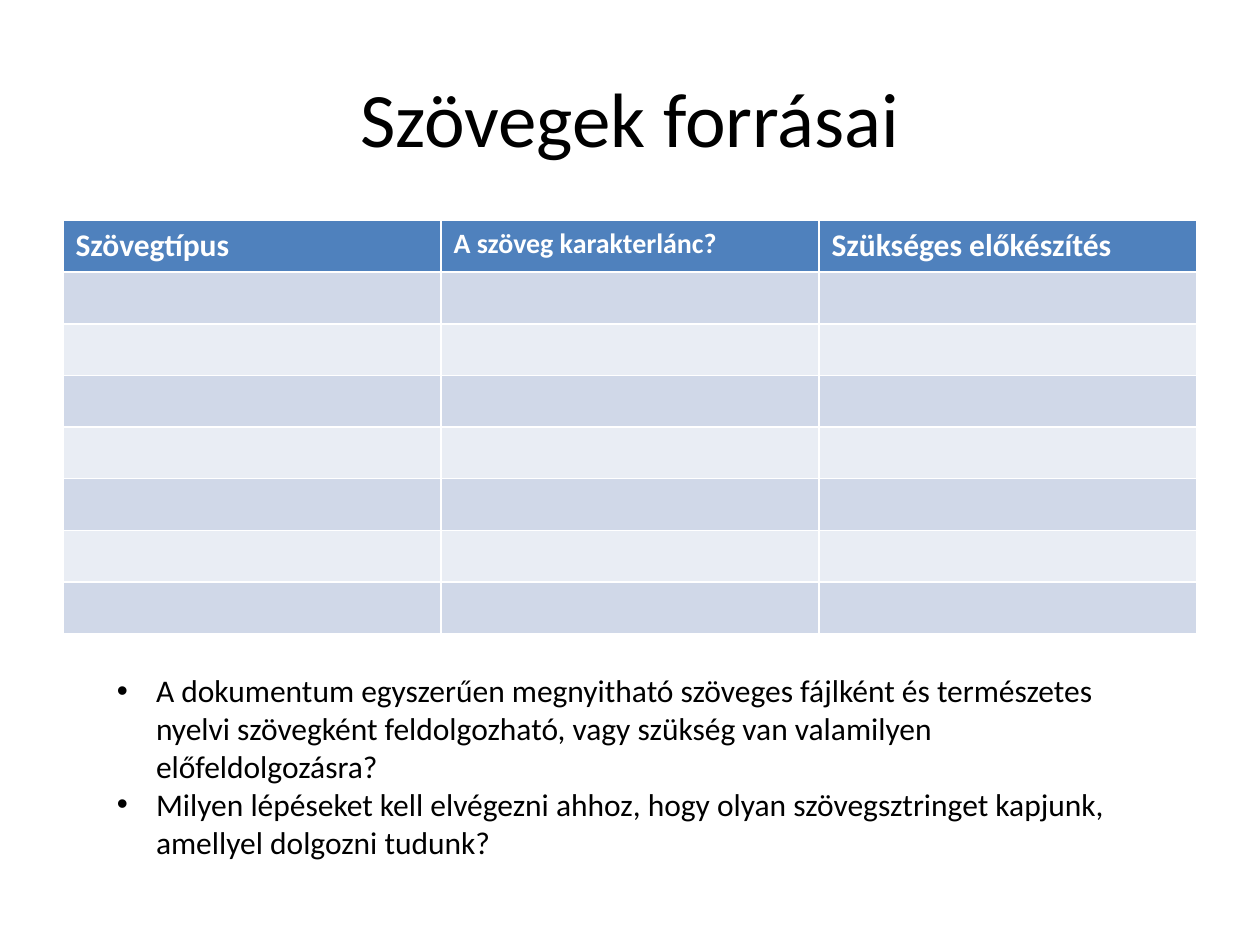
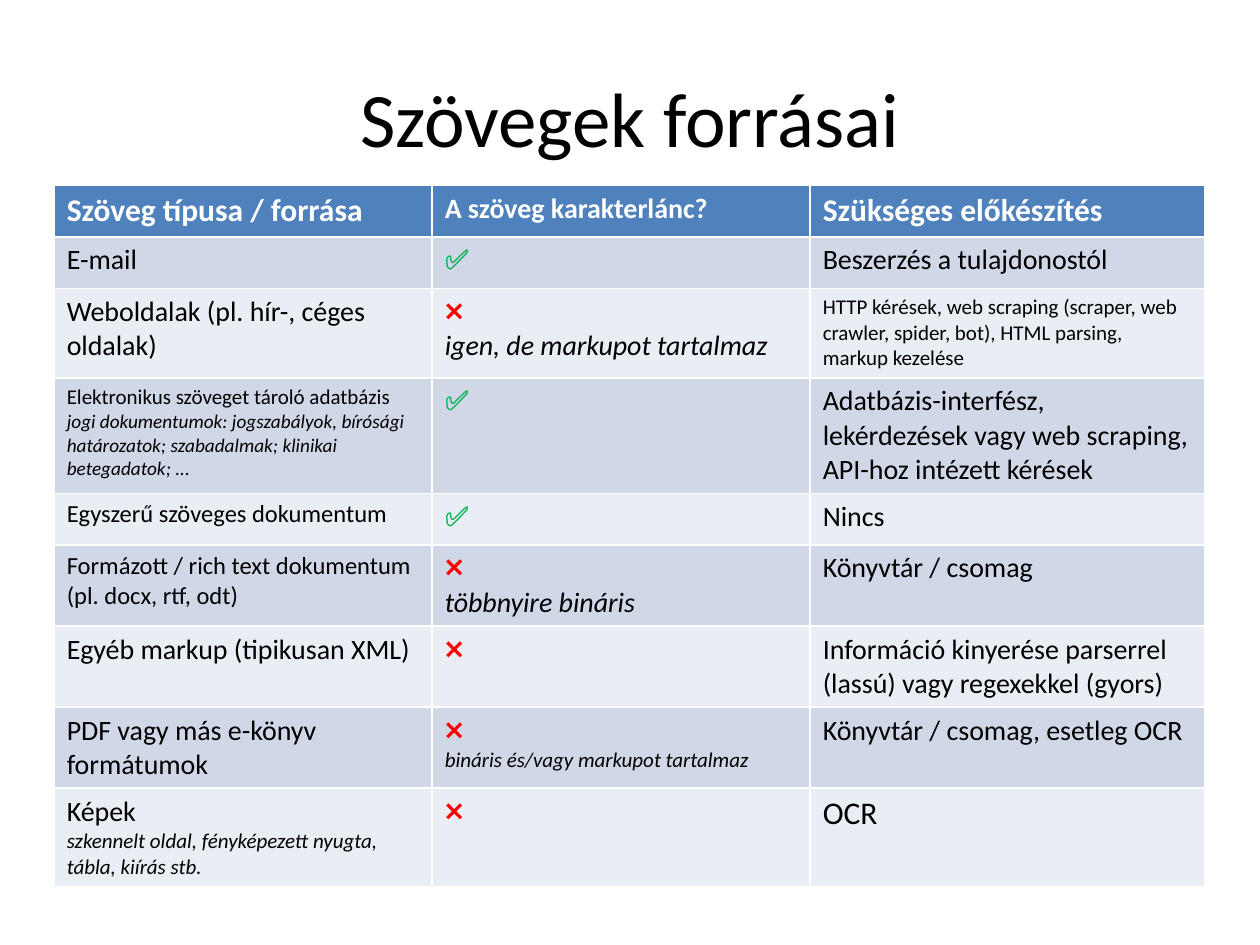
from dataclasses import dataclass

from lxml import etree
from pptx import Presentation
from pptx.dml.color import RGBColor
from pptx.enum.text import MSO_ANCHOR, MSO_AUTO_SIZE, PP_ALIGN
from pptx.oxml.ns import qn
from pptx.util import Inches, Pt

TITLE_ONLY = 5
CENTER = PP_ALIGN.CENTER
MIDDLE = MSO_ANCHOR.MIDDLE
GROW = MSO_AUTO_SIZE.SHAPE_TO_FIT_TEXT


@dataclass(frozen=True)
class Theme:
    font: str = "Calibri"
    black: str = "000000"
    white: str = "FFFFFF"
    header: str = "4F81BD"
    bands: tuple = ("E9EDF4", "D0D8E8")
    yes: str = "00B050"
    no: str = "FF0000"
    title: int = 44
    large: int = 18
    body: int = 16
    medium: int = 14
    small: int = 12
    tiny: int = 11


theme = Theme()
YES, NO = "✅", "❌"
MARK_COLOURS = {YES: theme.yes, NO: theme.no}
ROW_HEIGHT = 0.41


def write(para, text, size, colour=theme.black, bold=False, italic=False):
    para.text = text
    for span in para.runs:
        span.font.name = theme.font
        span.font.size = Pt(size)
        span.font.bold = bold
        span.font.italic = italic
        span.font.color.rgb = RGBColor.from_string(colour)


def add_source_table(page, left, top, widths, headings, rows):
    """Add a banded table; a cell is (text, size) pairs, the second being an italic note."""
    table = page.shapes.add_table(
        len(rows) + 1, len(widths), Inches(left), Inches(top),
        Inches(sum(widths)), Inches(ROW_HEIGHT * (len(rows) + 1))).table
    for column, width in zip(table.columns, widths):
        column.width = Inches(width)
    for row in table.rows:
        row.height = Inches(ROW_HEIGHT)

    for column, (text, size) in enumerate(headings):
        cell = table.cell(0, column)
        cell.fill.solid()
        cell.fill.fore_color.rgb = RGBColor.from_string(theme.header)
        write(cell.text_frame.paragraphs[0], text, size, theme.white, bold=True)

    for number, row in enumerate(rows, start=1):
        for column, content in enumerate(row):
            cell = table.cell(number, column)
            cell.fill.solid()
            cell.fill.fore_color.rgb = RGBColor.from_string(theme.bands[number % 2])
            frame = cell.text_frame
            for index, (text, size) in enumerate(content):
                para = frame.add_paragraph() if index else frame.paragraphs[0]
                colour = MARK_COLOURS.get(text, theme.black)
                write(para, text, size, colour, italic=index > 0)


deck = Presentation()
deck.slide_width = Inches(10)
deck.slide_height = Inches(7.5)

pages = []
for _ in range(2):
    page = deck.slides.add_slide(deck.slide_layouts[TITLE_ONLY])
    title = page.shapes.title
    title.left, title.top = Inches(0.5), Inches(0.3)
    title.width, title.height = Inches(9), Inches(1.25)
    title.text_frame.vertical_anchor = MIDDLE
    heading = title.text_frame.paragraphs[0]
    heading.alignment = CENTER
    write(heading, "Szövegek forrásai", theme.title)
    pages.append(page)
question_page, answer_page = pages

# Slide 1: empty table to fill in, with two guiding questions
shared_headings = [("A szöveg karakterlánc?", theme.body),
                   ("Szükséges előkészítés", theme.large)]
empty_rows = [[()] * 3] * 7
add_source_table(question_page, 0.5, 1.75, [3, 3, 3],
                 [("Szövegtípus", theme.large)] + shared_headings, empty_rows)

questions = [
    "A dokumentum egyszerűen megnyitható szöveges fájlként és természetes nyelvi "
    "szövegként feldolgozható, vagy szükség van valamilyen előfeldolgozásra?",
    "Milyen lépéseket kell elvégezni ahhoz, hogy olyan szövegsztringet kapjunk, "
    "amellyel dolgozni tudunk?",
]
box = question_page.shapes.add_textbox(Inches(0.83), Inches(5.28), Inches(8.11), Inches(1.62))
box.text_frame.word_wrap = True
box.text_frame.auto_size = GROW
for index, question in enumerate(questions):
    para = box.text_frame.add_paragraph() if index else box.text_frame.paragraphs[0]
    write(para, question, theme.large)
    properties = para._p.get_or_add_pPr()
    properties.set("marL", str(Inches(0.31)))
    properties.set("indent", str(-Inches(0.31)))
    etree.SubElement(properties, qn("a:buFont"), typeface="Arial")
    etree.SubElement(properties, qn("a:buChar"), char="•")

# Slide 2: completed table
yes, no = (YES, theme.body), (NO, theme.body)
source_rows = [
    [[("E-mail", theme.body)],
     [yes],
     [("Beszerzés a tulajdonostól", theme.body)]],
    [[("Weboldalak (pl. hír-, céges oldalak)", theme.body)],
     [no, ("igen, de markupot tartalmaz", theme.body)],
     [("HTTP kérések, web scraping (scraper, web crawler, spider, bot), "
       "HTML parsing, markup kezelése", theme.small)]],
    [[("Elektronikus szöveget tároló adatbázis", theme.small),
      ("jogi dokumentumok: jogszabályok, bírósági határozatok; szabadalmak; "
       "klinikai betegadatok; ...", theme.tiny)],
     [yes],
     [("Adatbázis-interfész, lekérdezések vagy web scraping, "
       "API-hoz intézett kérések", theme.body)]],
    [[("Egyszerű szöveges dokumentum", theme.medium)],
     [yes],
     [("Nincs", theme.body)]],
    [[("Formázott / rich text dokumentum (pl. docx, rtf, odt)", theme.medium)],
     [no, ("többnyire bináris", theme.body)],
     [("Könyvtár / csomag", theme.body)]],
    [[("Egyéb markup (tipikusan XML)", theme.body)],
     [no],
     [("Információ kinyerése parserrel (lassú) vagy regexekkel (gyors)", theme.body)]],
    [[("PDF vagy más e-könyv formátumok", theme.body)],
     [no, ("bináris és/vagy markupot tartalmaz", theme.small)],
     [("Könyvtár / csomag, esetleg OCR", theme.body)]],
    [[("Képek", theme.body),
      ("szkennelt oldal, fényképezett nyugta, tábla, kiírás stb.", theme.small)],
     [no],
     [("OCR", theme.large)]],
]
add_source_table(answer_page, 0.43, 1.47, [3, 3, 3.13],
                 [("Szöveg típusa / forrása", theme.large)] + shared_headings, source_rows)

deck.save("out.pptx")
